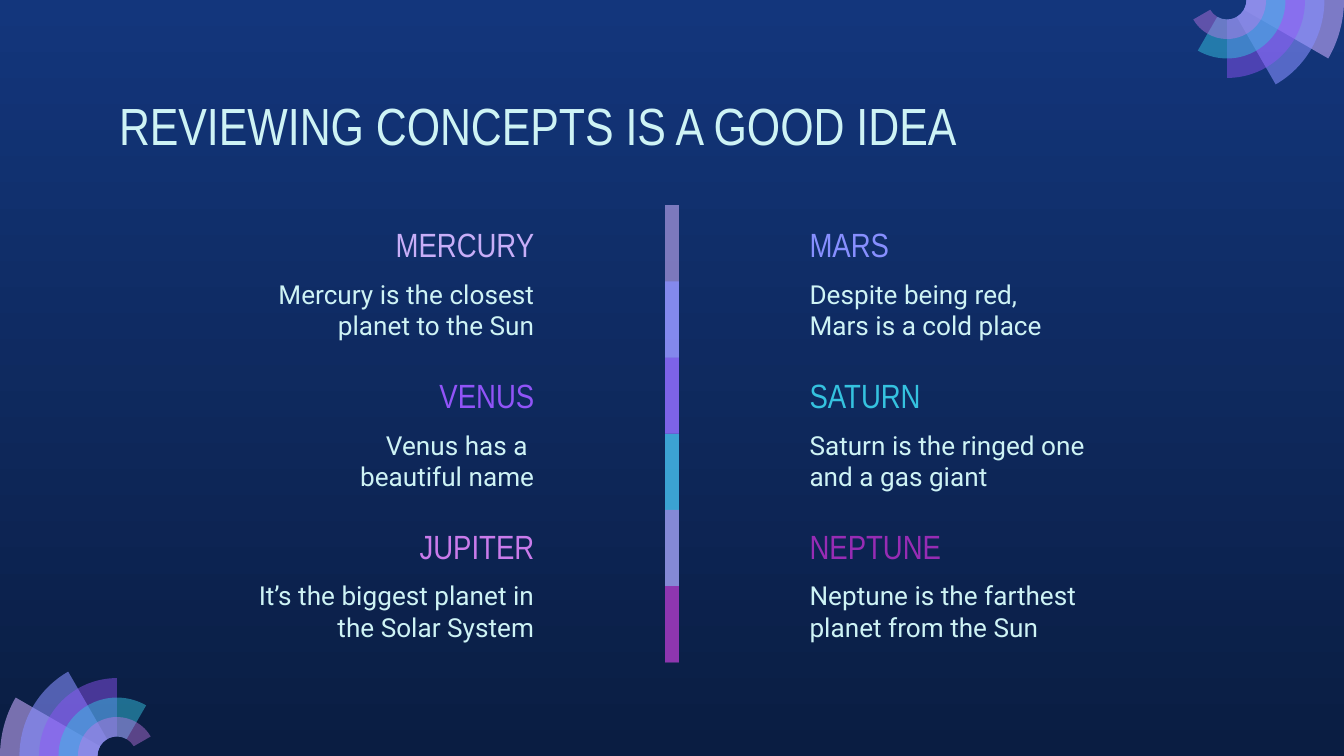
from dataclasses import dataclass
from itertools import pairwise
from math import cos, radians, sin, tan

from lxml import etree
from pptx import Presentation
from pptx.dml.color import RGBColor
from pptx.enum import shapes, text
from pptx.oxml.ns import qn
from pptx.util import Cm, Pt

WIDE, HIGH = 25.4, 14.29
PALE = "CEF3F5"
HEAD, BODY = "Arial Narrow", "Roboto"


@dataclass
class Tint:
    hue: str
    alpha: int


@dataclass
class Planet:
    name: str
    hue: str
    note: str
    hang: float = 0


# Fan rings from the outside in, and bar parts from the top down
RINGS = [Tint("C8ACFD", 58), Tint("878FFF", 58), Tint("9154F8", 46),
         Tint("35C2DF", 49), Tint("CA7BEB", 42)]
BARS = [Tint("C8AEF8", 59), Tint("878FFF", 74), Tint("9154F8", 53),
        Tint("35C2DF", 76), Tint("CA7BEB", 56), Tint("972CB4", 74)]
LEFT = [
    Planet("MERCURY", "C8AEF8", "Mercury is the closest planet to the Sun"),
    Planet("VENUS", "9154F8", "Venus has a \nbeautiful name"),
    Planet("JUPITER", "CA7BEB", "It’s the biggest planet in the Solar System", 0.25),
]
RIGHT = [
    Planet("MARS", "878FFF", "Despite being red,\vMars is a cold place"),
    Planet("SATURN", "35C2DF", "Saturn is the ringed one and a gas giant"),
    Planet("NEPTUNE", "972CB4", "Neptune is the farthest planet from the Sun"),
]


def color(hue: str) -> RGBColor:
    return RGBColor.from_string(hue)


def paint(shape, tint: Tint) -> None:
    shape.shadow.inherit = False
    shape.line.fill.background()
    shape.fill.solid()
    shape.fill.fore_color.rgb = color(tint.hue)
    node = shape.element.find(".//" + qn("a:srgbClr"))
    etree.SubElement(node, qn("a:alpha"), val=str(tint.alpha * 1000))


def write(box, words: str, font: str, size: int, hue: str,
          align=text.PP_ALIGN.LEFT, anchor=text.MSO_ANCHOR.TOP, hang: float = 0) -> None:
    frame = box.text_frame
    frame.word_wrap = True
    frame.auto_size = text.MSO_AUTO_SIZE.NONE
    frame.vertical_anchor = anchor
    frame.margin_left = frame.margin_right = Cm(0.25)
    frame.margin_top = frame.margin_bottom = Cm(0.25)
    frame.text = words
    for para in frame.paragraphs:
        para.alignment = align
        if hang:
            props = para._p.get_or_add_pPr()
            props.set("marL", str(Cm(hang)))
            props.set("indent", str(-Cm(hang)))
        para.font.name, para.font.size = font, Pt(size)
        para.font.color.rgb = color(hue)


def ring(slide, mid_x: float, mid_y: float, side: int,
         outer: float, inner: float, sweep: int, tint: Tint) -> None:
    """Draw part of a ring, its arcs as curves of a quarter turn at most."""

    def spot(radius: float, turn: int, lean: float = 0) -> tuple[int, int]:
        """Find a point on a circle, moved along its tangent by lean."""
        c, s = cos(radians(turn)), sin(radians(turn))
        return (Cm(mid_x - side * radius * (c - lean * s)),
                Cm(mid_y - side * radius * (s + lean * c)))

    turns = sorted({0, min(90, sweep), sweep})
    stops = [(outer, t) for t in turns] + [(inner, t) for t in reversed(turns)]
    dots = [spot(*stop) for stop in stops]
    build = slide.shapes.build_freeform(*dots[0])
    build.add_line_segments(dots[1:], close=True)
    shape = build.convert_to_shape()

    # Bend the sides that stay on one circle
    lines = list(shape.element.iter(qn("a:lnTo")))
    for line, ((radius, start), (far, end)) in zip(lines, pairwise(stops)):
        if radius != far:
            continue
        lean = 4 / 3 * tan(radians(end - start) / 4)
        line.tag = qn("a:cubicBezTo")
        bends = [spot(radius, start, lean), spot(radius, end, -lean)]
        for i, (x, y) in enumerate(bends):
            point = etree.Element(qn("a:pt"), x=str(x - shape.left), y=str(y - shape.top))
            line.insert(i, point)
    paint(shape, tint)


def fan(slide, mid_x: float, mid_y: float, side: int) -> None:
    """Draw rings around a point; each sweeps 30 degrees more than the last."""
    outer = 2.21
    step = outer / 6
    for i, tint in enumerate(RINGS):
        ring(slide, mid_x, mid_y, side, outer - i * step, step, 30 * (i + 1), tint)


def column(slide, planets: list[Planet], left: float, align) -> None:
    for i, planet in enumerate(planets):
        drop = 2.85 * i
        box = slide.shapes.add_textbox(Cm(left), Cm(4.16 + drop), Cm(6.43), Cm(1.09))
        write(box, planet.name, HEAD, 18, planet.hue, align, text.MSO_ANCHOR.BOTTOM)
        box = slide.shapes.add_textbox(Cm(left), Cm(5.01 + drop), Cm(6.43), Cm(1.75))
        write(box, planet.note, BODY, 14, PALE, align, hang=planet.hang)


def bar(slide) -> None:
    """Stack parts that overlap by half; the last one has half the height."""
    step = 1.44
    for i, tint in enumerate(BARS):
        tall = step if i == len(BARS) - 1 else 2 * step
        part = slide.shapes.add_shape(shapes.MSO_SHAPE.RECTANGLE, Cm(12.57),
                                      Cm(3.88 + i * step), Cm(0.26), Cm(tall))
        paint(part, tint)


def main() -> None:
    deck = Presentation()
    deck.slide_width, deck.slide_height = Cm(WIDE), Cm(HIGH)
    slide = deck.slides.add_slide(deck.slide_layouts[5])

    # Background
    fill = slide.background.fill
    fill.gradient()
    fill.gradient_angle = 270
    for stop, hue in zip(fill.gradient_stops, ("13367C", "0A1D42")):
        stop.color.rgb = color(hue)

    # Corner fans
    fan(slide, 2.21, HIGH, 1)
    fan(slide, WIDE - 2.21, 0, -1)

    # Title
    title = slide.shapes.title
    title.left, title.top = Cm(2), Cm(1.51)
    title.width, title.height = Cm(21.41), Cm(1.6)
    write(title, "REVIEWING CONCEPTS IS A GOOD IDEA", HEAD, 28, PALE)

    # Planets on both sides of the bar
    column(slide, LEFT, 3.92, text.PP_ALIGN.RIGHT)
    column(slide, RIGHT, 15.05, text.PP_ALIGN.LEFT)
    bar(slide)

    deck.save("out.pptx")


if __name__ == "__main__":
    main()
